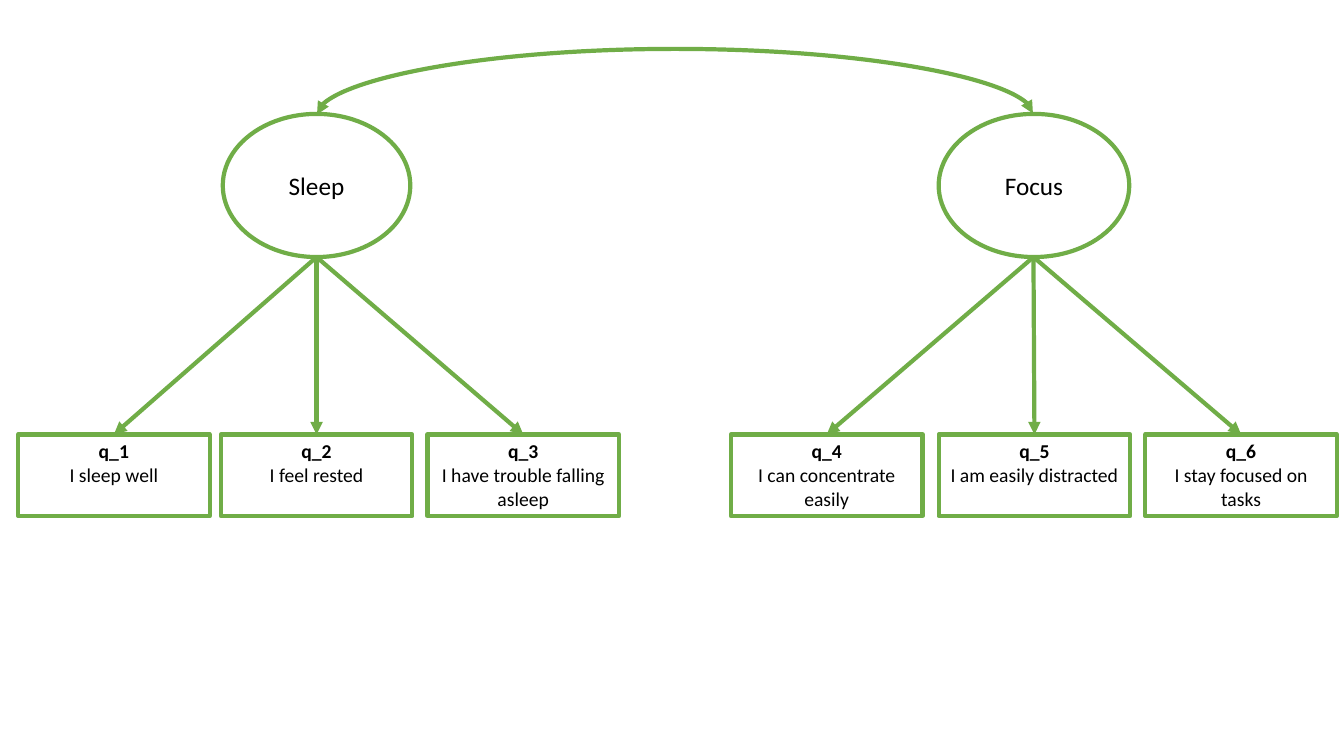
from copy import deepcopy

from lxml import etree
from pptx import Presentation
from pptx.dml.color import RGBColor
from pptx.enum.shapes import MSO_CONNECTOR, MSO_SHAPE
from pptx.enum.text import MSO_ANCHOR, PP_ALIGN
from pptx.oxml.ns import qn
from pptx.util import Pt

OVAL, RECT = MSO_SHAPE.OVAL, MSO_SHAPE.RECTANGLE
LINE, CURVE = MSO_CONNECTOR.STRAIGHT, MSO_CONNECTOR.CURVE
TOP, MIDDLE = MSO_ANCHOR.TOP, MSO_ANCHOR.MIDDLE
CENTER = PP_ALIGN.CENTER

SCALE = 9144  # EMU per px, 100 px to the inch
COLORS = {"green": "70AD47", "white": "FFFFFF", "black": "000000"}
FONT = "Calibri"


def px(n):
    return int(n * SCALE)


def rgb(name):
    return RGBColor.from_string(COLORS[name])


class Board:
    def __init__(self, slide):
        self.slide = slide

    def stroke(self, item):
        item.line.color.rgb = rgb("green")
        item.line.width = Pt(3)

    def node(self, kind, x, y, w, h, text, size, anchor):
        shape = self.slide.shapes.add_shape(kind, px(x), px(y), px(w), px(h))
        shape.shadow.inherit = False
        shape.fill.solid()
        shape.fill.fore_color.rgb = rgb("white")
        self.stroke(shape)
        frame = shape.text_frame
        frame.word_wrap = True
        frame.vertical_anchor = anchor
        frame.text = text
        para = frame.paragraphs[0]
        para.alignment = CENTER
        for run in para.runs:
            run.font.name = FONT
            run.font.size = Pt(size)
            run.font.color.rgb = rgb("black")
        return shape

    def factor(self, x, y, w, h, name):
        return self.node(OVAL, x, y, w, h, name, 18, MIDDLE)

    def item(self, x, y, w, h, code, text):
        shape = self.node(RECT, x, y, w, h, f"{code}\v{text}", 14, TOP)
        para = shape.text_frame.paragraphs[0]
        para.runs[0].font.bold = True
        # The line break takes the size of the code before it
        props = para.runs[0].font._element
        para._p.find(qn("a:br")).append(deepcopy(props))
        return shape

    def link(self, kind, x1, y1, x2, y2, ends):
        link = self.slide.shapes.add_connector(
            kind, px(x1), px(y1), px(x2), px(y2))
        self.stroke(link)
        line = link.line._get_or_add_ln()
        for end in ends:
            etree.SubElement(line, qn(f"a:{end}"), type="triangle")
        etree.SubElement(link._element.spPr, qn("a:effectLst"))
        return link

    def arrow(self, x, y, box):
        link = self.link(LINE, x, y, x, y, ["tailEnd"])
        link.end_connect(box, 0)

    def arc(self, x1, x2, y, rise):
        # A flipped connector, one px wide, turned a quarter to bow upward
        mid, half = (x1 + x2) // 2, (x2 - x1) // 2
        link = self.link(CURVE, mid + 1, y + half, mid, y - half,
                         ["headEnd", "tailEnd"])
        props = link._element.spPr
        props.find(qn("a:xfrm")).set("rot", "5400000")
        guides = props.find(qn("a:prstGeom")).get_or_add_avLst()
        etree.SubElement(guides, qn("a:gd"), name="adj1",
                         fmla=f"val {rise * 100000}")


OVAL_Y, OVAL_H = 113, 142
BOX_Y, BOX_W, BOX_H = 431, 190, 81
FACTORS = [
    ("Sleep", 221, 186, [(18, "I sleep well"), (219, "I feel rested"),
                         (424, "I have trouble falling asleep")]),
    ("Focus", 931, 189, [(725, "I can concentrate easily"),
                         (931, "I am easily distracted"),
                         (1136, "I stay focused on tasks")]),
]


def main():
    deck = Presentation()
    deck.slide_width, deck.slide_height = px(1333), px(750)
    board = Board(deck.slides.add_slide(deck.slide_layouts[6]))

    # Factors, their items and the arrows between them
    mids, count = [], 0
    for name, x, w, items in FACTORS:
        board.factor(x, OVAL_Y, w, OVAL_H, name)
        mid = x + w // 2
        mids.append(mid)
        for left, text in items:
            count += 1
            box = board.item(left, BOX_Y, BOX_W, BOX_H, f"q_{count}", text)
            board.arrow(mid, OVAL_Y + OVAL_H, box)

    # Correlation of the two factors
    board.arc(*mids, OVAL_Y, 66)
    deck.save("out.pptx")


if __name__ == "__main__":
    main()
